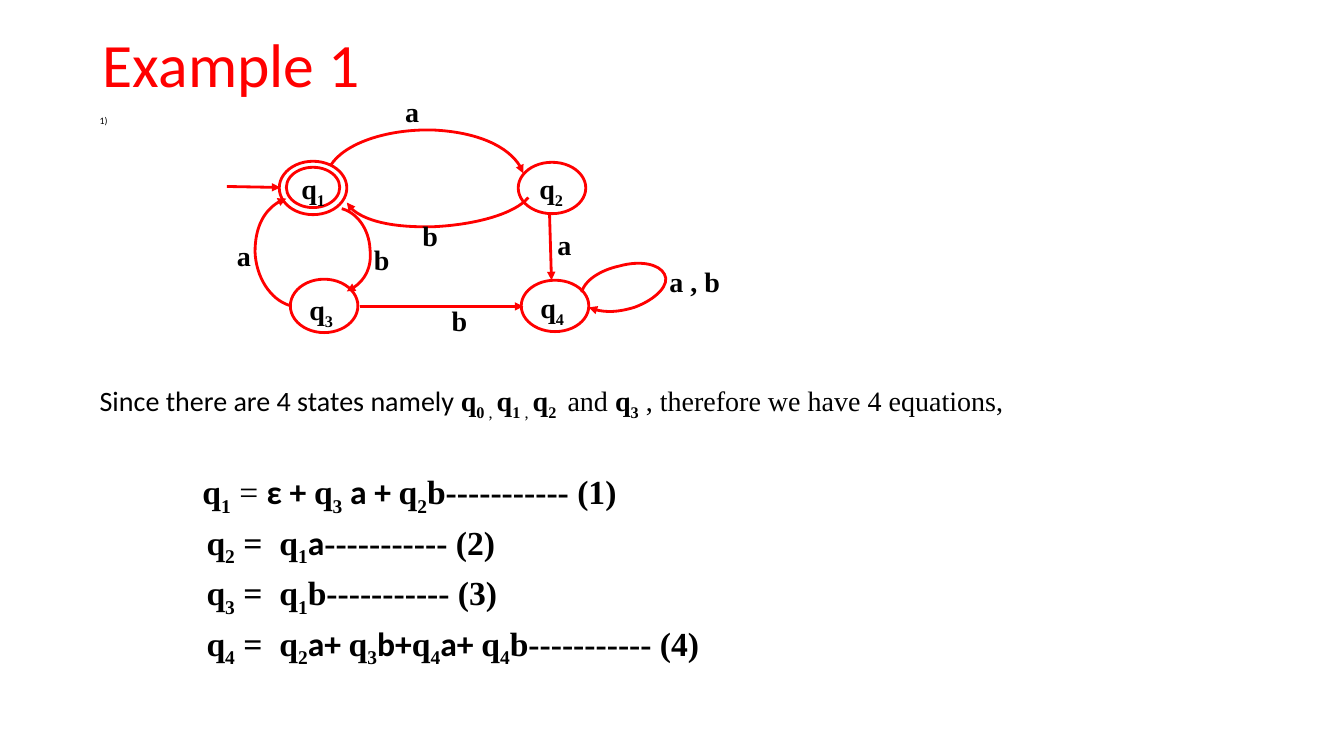
"""Build a slide with a four-state automaton and its state equations."""
from lxml import etree
from pptx import Presentation
from pptx import util as u
from pptx.dml.color import RGBColor
from pptx.enum import shapes, text
from pptx.oxml.ns import qn

PX = 9144
RED = RGBColor(255, 0, 0)
BLACK = RGBColor(0, 0, 0)
SERIF = "Times New Roman"
SANS = "Calibri"
DASHES = "-----------"

STATES = [(277, 160, 67, 53), (284, 166, 53, 40), (514, 161, 67, 51),
          (288, 277, 67, 53), (517, 278, 67, 51)]
STATE_NAMES = [("1", 289, 165), ("2", 525, 165), ("3", 297, 285), ("4", 526, 283)]
EDGE_LABELS = [("a", 225, 232), ("a", 392, 89), ("b", 409, 212), ("b", 361, 236),
               ("b", 438, 296), ("a", 543, 221), ("a , b", 654, 257)]
STRAIGHT_EDGES = [(225, 185, 278, 186), (545, 211, 547, 278), (357, 304, 519, 304)]
CURVED_EDGES = [
    [(328, 164), (342, 142), (384, 128), (429, 129), (474, 131), (512, 149), (519, 172)],
    [(524, 196), (511, 212), (472, 223), (430, 225), (387, 226), (351, 216), (344, 201)],
    [(339, 207), (354, 211), (366, 227), (367, 247), (369, 266), (359, 283), (344, 289)],
    [(287, 303), (268, 297), (254, 275), (253, 250), (253, 225), (265, 203), (284, 197)],
    [(577, 290), (579, 279), (595, 268), (614, 264), (635, 258), (654, 262), (659, 272),
     (665, 282), (651, 297), (629, 305), (612, 310), (594, 310), (584, 305)],
]

# Run flags: b bold, s subscript, c sans-serif.
SENTENCE = [("Since there are 4 states namely ", "c"),
            ("q", "b"), ("0", "bs"), (" , ", "s"), ("q", "b"), ("1", "bs"), (" , ", "s"),
            ("q", "b"), ("2 ", "bs"), (" and ", ""), ("q", "b"), ("3", "bs"),
            (" , therefore we have 4 equations,", "")]
EQUATIONS = [
    [("q", "b"), ("1", "bs"), (" = ", ""), ("ε + ", "bc"), ("q", "b"), ("3", "bs"),
     (" a + ", "bc"), ("q", "b"), ("2", "bs"), (f"b{DASHES} (1)", "b")],
    [("q", "b"), ("2", "bs"), (" =  q", "b"), ("1", "bs"), ("a", "bc"),
     (f"{DASHES} (2)", "b")],
    [("q", "b"), ("3", "bs"), (" =  q", "b"), ("1", "bs"), (f"b{DASHES} (3)", "b")],
    [("q", "b"), ("4", "bs"), (" =  q", "b"), ("2", "bs"), ("a+ ", "bc"),
     ("q", "b"), ("3", "bs"), ("b+", "bc"), ("q", "b"), ("4", "bs"), ("a+ ", "bc"),
     ("q", "b"), ("4", "bs"), (f"b{DASHES} (4)", "b")],
]


def px(*lengths):
    return [u.Emu(length * PX) for length in lengths]


def add_text(slide, box, lines, size):
    shape = slide.shapes.add_textbox(*px(*box))
    frame = shape.text_frame
    frame.word_wrap = True
    for index, pieces in enumerate(lines):
        paragraph = frame.paragraphs[0] if index == 0 else frame.add_paragraph()
        paragraph.font.size = u.Pt(size)
        paragraph.font.color.rgb = BLACK
        for words, flags in pieces:
            run = paragraph.add_run()
            run.text = words
            run.font.name = SANS if "c" in flags else SERIF
            run.font.bold = "b" in flags
            if "s" in flags:
                run.font._element.set("baseline", "-25000")
    return frame.paragraphs


def style_line(shape, arrow=True):
    shape.line.color.rgb = RED
    shape.line.width = u.Pt(2)
    if arrow:
        line = shape.element.spPr.find(qn("a:ln"))
        etree.SubElement(line, qn("a:tailEnd"), type="triangle")


def add_state(slide, box):
    shape = slide.shapes.add_shape(shapes.MSO_SHAPE.OVAL, *px(*box))
    shape.shadow.inherit = False
    shape.fill.background()
    style_line(shape, arrow=False)


def add_straight_edge(slide, ends):
    edge = slide.shapes.add_connector(shapes.MSO_CONNECTOR.STRAIGHT, *px(*ends))
    style_line(edge)
    etree.SubElement(edge.element.spPr, qn("a:effectLst"))


def add_curved_edge(slide, points):
    builder = slide.shapes.build_freeform(*points[0], scale=PX)
    builder.add_line_segments(points[1:], close=False)
    shape = builder.convert_to_shape()
    outline = next(shape.element.iter(qn("a:path")))
    segments = outline.findall(qn("a:lnTo"))
    for start in range(0, len(segments), 3):
        curve = etree.SubElement(outline, qn("a:cubicBezTo"))
        for segment in segments[start:start + 3]:
            curve.append(segment[0])
            outline.remove(segment)
    shape.shadow.inherit = False
    shape.fill.background()
    style_line(shape)


def add_title(slide, words):
    title = slide.shapes.title
    title.left, title.top, title.width, title.height = px(92, 26, 1150, 83)
    frame = title.text_frame
    frame.text = words
    frame.vertical_anchor = text.MSO_ANCHOR.MIDDLE
    paragraph = frame.paragraphs[0]
    paragraph.alignment = text.PP_ALIGN.LEFT
    paragraph.line_spacing = 0.9
    paragraph.font.name = SANS
    paragraph.font.size = u.Pt(44)
    paragraph.font.color.rgb = RED


def add_automaton(slide):
    for box in STATES:
        add_state(slide, box)
    for points in CURVED_EDGES:
        add_curved_edge(slide, points)
    for ends in STRAIGHT_EDGES:
        add_straight_edge(slide, ends)
    for number, left, top in STATE_NAMES:
        add_text(slide, (left, top, 68, 37), [[("q", "b"), (number, "bs")]], 20)
    for label, left, top in EDGE_LABELS:
        add_text(slide, (left, top, 88, 37), [[(label, "b")]], 20)


def add_explanation(slide):
    add_text(slide, (89, 112, 100, 22), [[("1)", "c")]], 7)[0].line_spacing = 0.7
    add_text(slide, (89, 383, 1153, 42), [SENTENCE], 20)[0].line_spacing = u.Pt(22)
    for index, paragraph in enumerate(add_text(slide, (191, 472, 1051, 207), EQUATIONS, 24)):
        paragraph.line_spacing = u.Pt(26)
        paragraph.space_after = u.Pt(10)
        if index:
            paragraph._p.get_or_add_pPr().set("marL", str(4 * PX))


def main():
    presentation = Presentation()
    presentation.slide_width, presentation.slide_height = px(1333, 750)
    slide = presentation.slides.add_slide(presentation.slide_layouts[5])
    add_title(slide, "Example 1")
    add_automaton(slide)
    add_explanation(slide)
    presentation.save("out.pptx")


if __name__ == "__main__":
    main()
